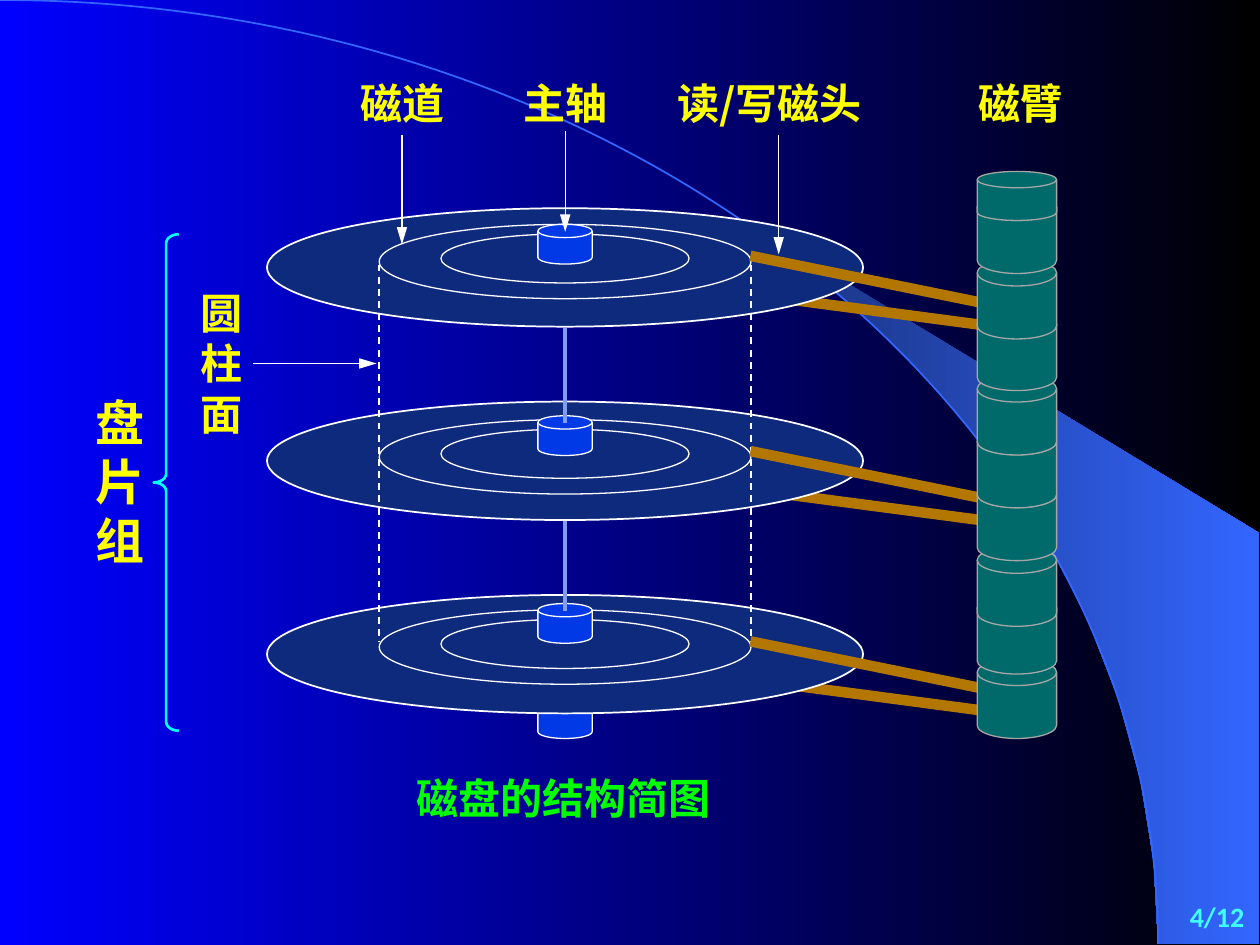
from collections import namedtuple
from dataclasses import dataclass
from math import cos, radians, sin

from lxml import etree
from pptx import Presentation
from pptx.dml.color import RGBColor
from pptx.enum.dml import MSO_LINE
from pptx.enum.shapes import MSO_CONNECTOR, MSO_SHAPE as Shape
from pptx.enum.text import (MSO_ANCHOR as Anchor, MSO_AUTO_SIZE as AutoSize,
                            PP_ALIGN as Align)
from pptx.oxml.ns import qn
from pptx.util import Pt

Box = namedtuple("Box", "x y w h")
Platter = namedtuple("Platter", "disk track hub")  # top edges


@dataclass(frozen=True)
class Theme:
    cjk: str = "Noto Sans CJK SC"
    latin: str = "Calibri"
    label_size: int = 24
    group_size: int = 28
    number_size: int = 16
    backdrop: tuple = ("0000FF", "000000")
    band: tuple = ("182F76", "3366FF")
    curve: str = "3366FF"
    label: str = "FFFF00"
    caption: str = "00FF00"
    number: str = "40FFFF"
    brace: str = "00FFFF"
    outline: str = "FFFFFF"
    disk: str = "0E2A7C"
    hub: str = "0039E5"
    spindle: str = "819DF1"
    arm: str = "B37700"
    stack: str = "006A6A"
    stack_line: str = "A6A6A6"


T = Theme()
PLATTERS = [Platter(119, 128.2, 128.2),
            Platter(229.5, 239.8, 237.6),
            Platter(340, 348.5, 344.9)]


def set_gradient(fill, colors):
    fill.gradient()
    fill.gradient_angle = 0
    for stop, color in zip(fill.gradient_stops, colors):
        stop.color.rgb = RGBColor.from_string(color)


def set_line(line, color, width):
    line.color.rgb = RGBColor.from_string(color)
    line.width = Pt(width)


def add_shape(slide, kind, box, fill, color, width=0.75):
    sp = slide.shapes.add_shape(kind, *map(Pt, box))
    sp.shadow.inherit = False
    if fill:
        sp.fill.solid()
        sp.fill.fore_color.rgb = RGBColor.from_string(fill)
    else:
        sp.fill.background()
    set_line(sp.line, color, width)
    return sp


def add_line(slide, start, end, color, width, dash=None, arrow=False):
    line = slide.shapes.add_connector(
        MSO_CONNECTOR.STRAIGHT, *map(Pt, (*start, *end)))
    set_line(line.line, color, width)
    if dash:
        line.line.dash_style = dash
    props = line._element.spPr
    if arrow:
        ln = props.find(qn("a:ln"))
        etree.SubElement(ln, qn("a:tailEnd"), type="triangle", len="lg")
    etree.SubElement(props, qn("a:effectLst"))


def add_text(slide, box, text, size, color, font=T.cjk, align=Align.LEFT,
             wrap=True, anchor=Anchor.TOP):
    tf = slide.shapes.add_textbox(*map(Pt, box)).text_frame
    tf.word_wrap = wrap
    tf.auto_size = AutoSize.NONE if wrap else AutoSize.SHAPE_TO_FIT_TEXT
    tf.vertical_anchor = anchor
    tf.text = text
    p = tf.paragraphs[0]
    p.alignment = align
    p.line_spacing = Pt(round(1.2 * size, 1))
    r = p.runs[0]
    r.font.size = Pt(size)
    r.font.bold = True
    r.font.name = font
    r.font.color.rgb = RGBColor.from_string(color)
    etree.SubElement(r.font._element, qn("a:ea"), typeface=font)


def add_outline(slide, points, close):
    points = [(Pt(x), Pt(y)) for x, y in points]
    builder = slide.shapes.build_freeform(*points[0])
    builder.add_line_segments(points[1:], close=close)
    sp = builder.convert_to_shape()
    sp.shadow.inherit = False
    return sp


def add_curve(slide, points):
    """One cubic curve: start, two control points, end."""
    sp = add_outline(slide, points, False)
    segments = list(sp._element.iter(qn("a:lnTo")))
    bezier = etree.SubElement(segments[0].getparent(), qn("a:cubicBezTo"))
    for segment in segments:
        bezier.append(segment[0])
        segment.getparent().remove(segment)
    return sp


def draw_backdrop(slide, box):
    """Gradient, a quarter ellipse and the bright band outside it."""
    set_gradient(slide.background.fill, T.backdrop)
    rx, ry = box.w * 0.92, box.h
    right, bottom = box.x + box.w, box.y + box.h

    edge = [(box.x + rx * sin(radians(a)), box.y + ry * (1 - cos(radians(a))))
            for a in range(40, 91, 5)]
    band = add_outline(
        slide, edge + [(right, bottom), (right, box.y + 304.5)], True)
    set_gradient(band.fill, T.band)
    band.line.fill.background()

    curve = add_curve(slide, [(box.x, box.y), (box.x + 0.55 * rx, box.y),
                              (box.x + rx, box.y + 0.45 * ry),
                              (box.x + rx, bottom)])
    curve.fill.background()
    set_line(curve.line, T.curve, 1)


def draw_platters(slide, box):
    """Disks, tracks, hubs and spindle, centred across the box."""
    mid = box.x + box.w / 2

    def centred(y, w, h):
        return Box(mid - w / 2, y, w, h)

    def add_hub(y):
        add_shape(slide, Shape.FLOWCHART_MAGNETIC_DISK,
                  centred(y, 31, 22.7), T.hub, T.outline)

    add_hub(box.y + box.h - 22.7)
    for platter in reversed(PLATTERS):
        add_shape(slide, Shape.OVAL, centred(platter.disk, box.w, 67.7),
                  T.disk, T.outline, 1)
    for platter in PLATTERS:
        add_shape(slide, Shape.OVAL, centred(platter.track + 5.5, 141.8, 28),
                  None, T.outline)
        add_shape(slide, Shape.OVAL, centred(platter.track, 212.4, 42.5),
                  None, T.outline)
    for x in (mid + 106.2, mid - 106.2):
        add_line(slide, (x, 151.2), (x, 366.5), T.outline, 1, MSO_LINE.DASH)
    for platter in PLATTERS:
        add_hub(platter.hub)
    for upper, lower in zip(PLATTERS, PLATTERS[1:]):
        add_line(slide, (mid, upper.disk + 68.5), (mid, lower.hub + 4.3),
                 T.spindle, 2.25)


def draw_arms(slide, box, drop):
    """One arm per platter, sloping down to the right by drop."""
    for platter in PLATTERS:
        y = platter.track + box.y
        add_line(slide, (box.x + box.w, y + drop), (box.x, y), T.arm, 6)


def draw_arm_stack(slide, box):
    """Overlapping cylinders, laid from the bottom up."""
    for offset in (278.6, 241.8, 214.5, 177, 146.8, 116.6, 79.8, 50.3, 12.9):
        add_shape(slide, Shape.FLOWCHART_MAGNETIC_DISK,
                  Box(box.x, box.y + offset, box.w, 45.4),
                  T.stack, T.stack_line)
    add_shape(slide, Shape.FLOWCHART_MAGNETIC_DISK,
              Box(box.x, box.y, box.w, 28), T.stack, T.stack_line)


def draw_top_labels(slide, box):
    labels = [("磁道", 0, 62.4, (229.7, 77, 139.7)),
              ("主轴", 93.6, 62.4, (323, 75, 132.5)),
              ("读/写磁头", 181.4, 131.8, (445, 77, 145.4)),
              ("磁臂", 353.5, 62.4, None)]
    for text, offset, width, pointer in labels:
        add_text(slide, Box(box.x + offset, box.y, width, box.h), text,
                 T.label_size, T.label, wrap=False)
        if pointer:
            x, top, tip = pointer
            add_line(slide, (x, top), (x, tip), T.outline, 0.75, arrow=True)


def draw_side_labels(slide, box):
    """Stacked labels on both sides of a brace as tall as the box."""
    brace = add_shape(slide, Shape.LEFT_BRACE,
                      Box(box.x + 44.6, box.y, 14.4, box.h),
                      None, T.brace, 1.5)
    brace.adjustments[0] = 0.35
    add_text(slide, Box(box.x + 0.5, box.y + 87, 46, 108), "盘片组",
             T.group_size, T.label, align=Align.RIGHT)
    add_text(slide, Box(box.x + 56.2, box.y + 26.7, 46, 93.6), "圆柱面",
             T.label_size, T.label, align=Align.RIGHT)
    y = box.y + 73.8
    add_line(slide, (box.x + 101.5, y), (box.x + 172, y),
             T.outline, 0.75, arrow=True)


def main():
    prs = Presentation()
    prs.slide_width, prs.slide_height = Pt(720), Pt(540)
    slide = prs.slides.add_slide(prs.slide_layouts[6])
    draw_backdrop(slide, Box(0, 0, 719.3, 539.3))
    draw_arms(slide, Box(444, 42, 130, 0), 17.2)
    draw_side_labels(slide, Box(43.2, 133.9, 172, 283.7))
    draw_platters(slide, Box(152.6, 119, 340.6, 303))
    draw_top_labels(slide, Box(198.7, 41, 415.5, 36))
    draw_arms(slide, Box(428.8, 18, 142, 0), 28.8)
    draw_arm_stack(slide, Box(558.4, 98, 45.4, 324))
    add_text(slide, Box(208.8, 437.8, 226.8, 36), "磁盘的结构简图",
             T.label_size, T.caption, align=Align.CENTER)
    add_text(slide, Box(618.7, 509.8, 99.4, 28), "4/12", T.number_size,
             T.number, T.latin, Align.RIGHT, anchor=Anchor.MIDDLE)
    prs.save("out.pptx")


if __name__ == "__main__":
    main()
